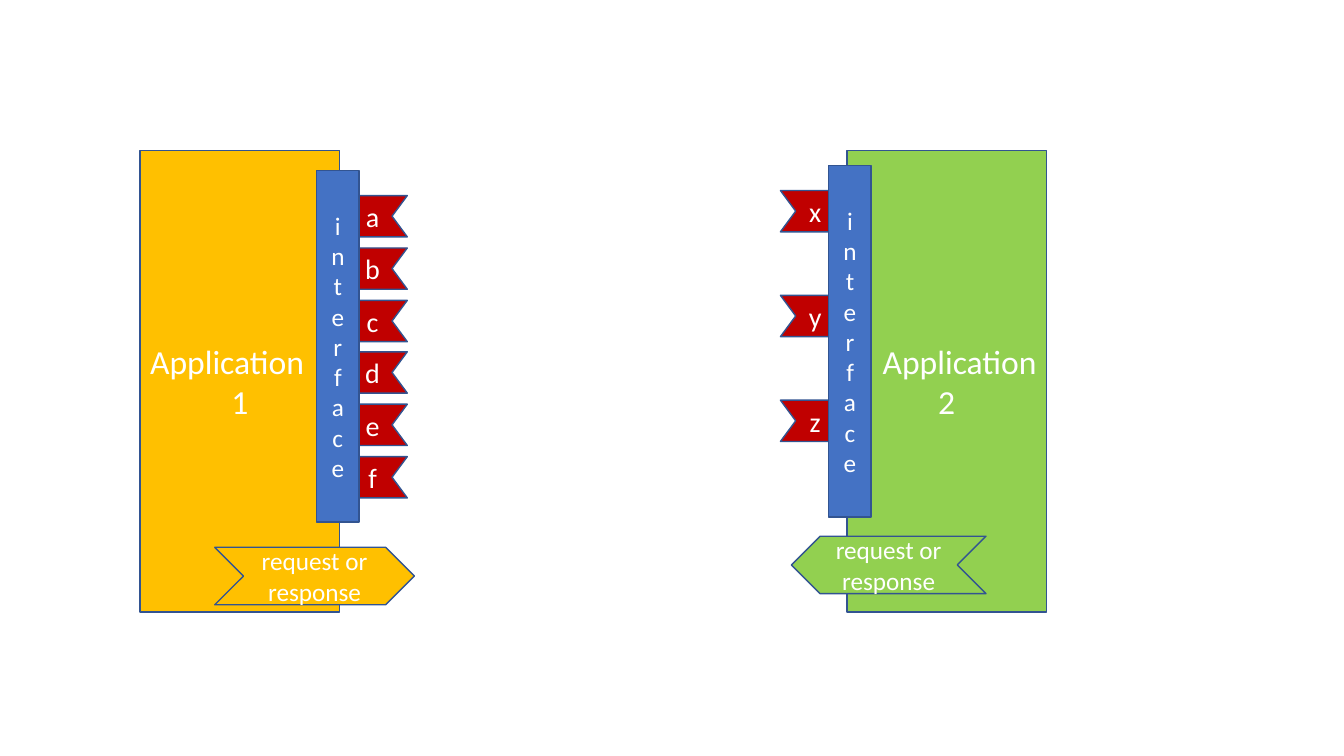
from dataclasses import dataclass
from pptx import Presentation
from pptx.dml.color import RGBColor as Rgb
from pptx.enum.shapes import MSO_SHAPE as Kind
from pptx.enum.text import MSO_ANCHOR as Anchor, PP_ALIGN as Align
from pptx.oxml.ns import qn
from pptx.util import Emu, Pt

SCALE = 9144


@dataclass(frozen=True)
class Theme:
    font: str = "Calibri"
    amber: str = "FFC000"
    green: str = "92D050"
    red: str = "C00000"
    blue: str = "4472C4"
    edge: str = "325491"
    white: str = "FFFFFF"
    title: int = 24
    label: int = 20
    body: int = 18


def px(size):
    return Emu(size * SCALE)


def write(frame, text, *, font, size, color, aligns=(Align.CENTER,), vert=None):
    frame.word_wrap = True
    frame.vertical_anchor = Anchor.MIDDLE
    if vert:
        frame._txBody.find(qn("a:bodyPr")).set("vert", vert)
    frame.text = text
    for para, align in zip(frame.paragraphs, aligns):
        para.alignment = align
        face = para.runs[0].font
        face.name, face.size = font, Pt(size)
        face.color.rgb = Rgb.from_string(color)


class Board:
    """Draws the parts of an interface diagram on one slide."""

    def __init__(self, deck, theme):
        self.theme = theme
        self.slide = deck.slides.add_slide(deck.slide_layouts[6])

    def block(self, box, fill, text, size, kind=Kind.RECTANGLE,
              host=None, flip=False, adjust=None, **form):
        theme = self.theme
        shape = (host or self.slide).shapes.add_shape(kind, *map(px, box))
        shape.shadow.inherit = False
        shape.fill.solid()
        shape.fill.fore_color.rgb = Rgb.from_string(fill)
        shape.line.color.rgb = Rgb.from_string(theme.edge)
        shape.line.width = Pt(1)
        if adjust is not None:
            shape.adjustments[0] = adjust
        if flip:
            shape._element.spPr.find(qn("a:xfrm")).set("flipH", "1")
        write(shape.text_frame, text, font=theme.font, size=size,
              color=theme.white, **form)

    def app(self, left, fill, number, align):
        self.block((left, 149, 198, 458), fill, f"Application\n{number}",
                   self.theme.title, aligns=(align, Align.CENTER))

    def port(self, bar, top, tab, names, span, flip):
        theme = self.theme
        group = self.slide.shapes.add_group_shape()
        for i, name in enumerate(names):
            drop = round(span * i / (len(names) - 1))
            self.block((tab, top + 25 + drop, 69, 41), theme.red, name,
                       theme.label, Kind.CHEVRON, group, flip, 0.37)
        self.block((bar, top, 42, 349), theme.blue, "interface", theme.body,
                   host=group, flip=not flip, vert="wordArtVert")

    def call(self, left, top, width, fill, flip=False):
        self.block((left, top, width, 57), fill, "request or response",
                   self.theme.body, Kind.CHEVRON, flip=flip)


def main():
    deck = Presentation()
    deck.slide_width, deck.slide_height = px(1333), px(750)
    theme = Theme()
    board = Board(deck, theme)
    board.app(139, theme.amber, 1, Align.LEFT)
    board.app(840, theme.green, 2, Align.RIGHT)
    board.port(314, 169, 335, "abcdef", 259, True)
    board.call(213, 543, 198, theme.amber)
    board.call(785, 532, 193, theme.green, flip=True)
    board.port(822, 164, 774, "xyz", 208, False)
    deck.save("out.pptx")


if __name__ == "__main__":
    main()
